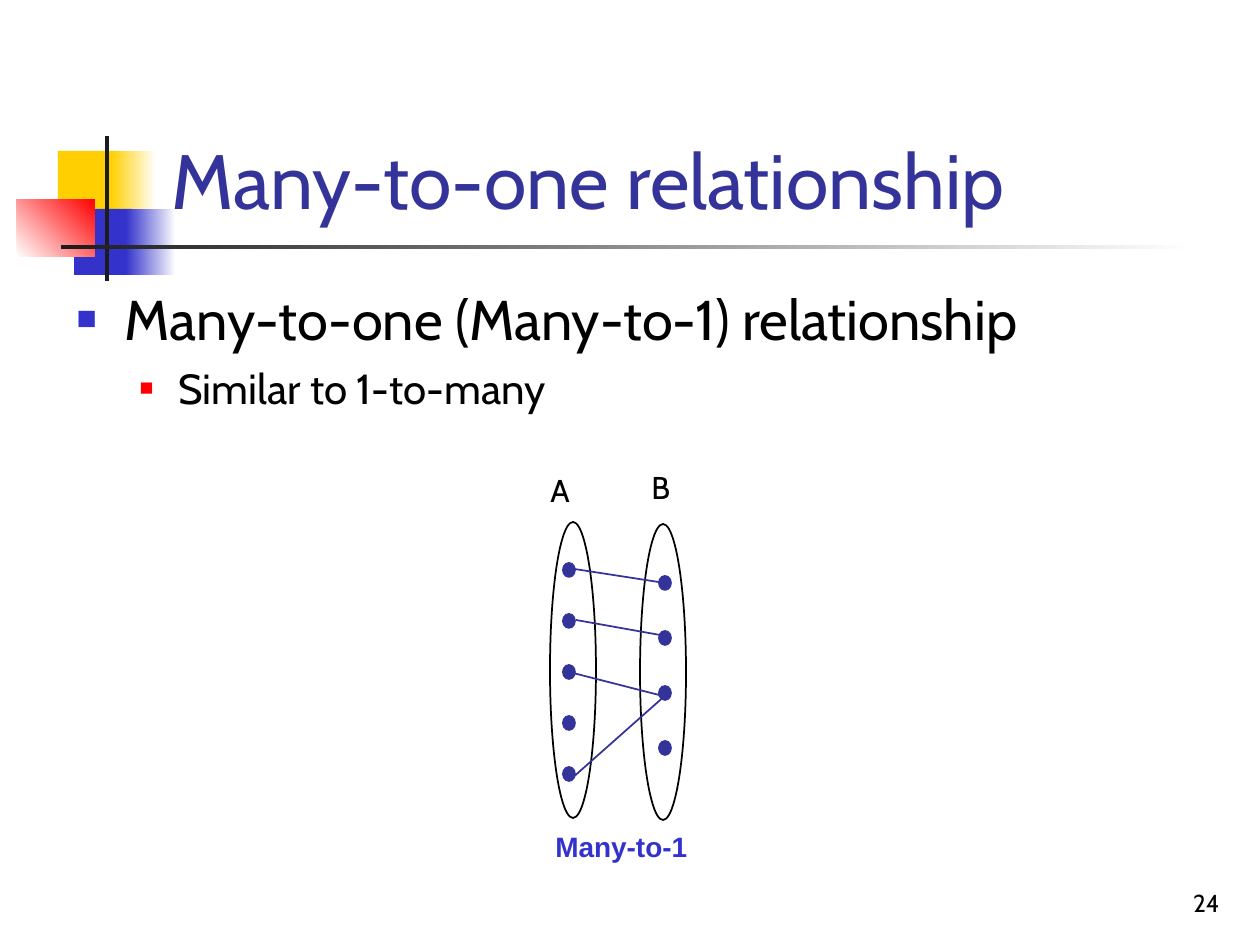
from dataclasses import dataclass

from lxml import etree
from pptx import Presentation
from pptx import util as u
from pptx.dml.color import RGBColor
from pptx.enum import shapes, text
from pptx.oxml.ns import qn


@dataclass(frozen=True)
class Theme:
    font: str = "Cabin"
    caption_font: str = "Arial"
    black: str = "000000"
    white: str = "FFFFFF"
    charcoal: str = "1C1C1C"
    yellow: str = "FFCF01"
    blue: str = "3333CC"
    red: str = "FF0000"
    navy: str = "333399"
    title_size: int = 44
    label_size: int = 18
    caption_size: int = 16
    number_size: int = 14
    line_width: int = 1


THEME = Theme()
SCALE = 914400 / 126
TITLE = "Many-to-one relationship"
TITLE_BOX = (159, 29, 1073, 202)
BODY_BOX = (64, 278, 1169, 567)

BULLETS = [
    {"text": "Many-to-one (Many-to-1) relationship", "level": 0, "size": 32, "before": 0,
     "left": 48, "hang": 48, "color": THEME.blue, "percent": 60},
    {"text": "Similar to 1-to-many", "level": 1, "size": 24, "before": 6,
     "left": 102, "hang": 39, "color": THEME.red, "percent": 55},
]

DECORATIONS = [
    ((58, 151, 60, 66), (THEME.yellow,), 0),
    ((111, 151, 45, 66), (THEME.yellow, THEME.white), 0),
    ((74, 209, 58, 66), (THEME.blue,), 0),
    ((126, 209, 50, 66), (THEME.blue, THEME.white), 0),
    ((17, 199, 78, 58), (THEME.white, THEME.red), 45),
    ((105, 136, 4, 145), (THEME.charcoal,), 0),
    ((61, 245, 1134, 4), (THEME.charcoal, THEME.white), 0),
]

SETS = [
    {"oval": (550, 522, 46, 296), "dot_x": 563, "dot_y": 563, "step": 51, "count": 5},
    {"oval": (640, 524, 46, 296), "dot_x": 659, "dot_y": 576, "step": 55, "count": 4},
]
DOT_SIZE = (12, 14)
LINKS = [
    (568, 568, 665, 583),
    (576, 620, 660, 635),
    (573, 673, 663, 696),
    (570, 780, 667, 694),
]

LABELS = [
    ("A", (538, 465, 45, 50), THEME.label_size),
    ("B", (639, 462, 45, 50), THEME.label_size),
]
CAPTION = ("Many-to-1", (543, 823, 157, 45))
NUMBER = ("24", (970, 861, 262, 63))


def px(value):
    return u.Emu(round(value * SCALE))


def emu(box):
    return [px(value) for value in box]


def rgb(color):
    return RGBColor.from_string(color)


def set_font(paragraph, size, color, name=THEME.font, bold=False):
    for run in paragraph.runs:
        run.font.size = u.Pt(size)
        run.font.name = name
        run.font.bold = bold
        run.font.color.rgb = rgb(color)


def place(shape, box):
    shape.left, shape.top, shape.width, shape.height = emu(box)
    shape.text_frame.auto_size = text.MSO_AUTO_SIZE.NONE
    shape.text_frame.word_wrap = True


def add_shape(slide, kind, box, colors=(), angle=0, line=None):
    shape = slide.shapes.add_shape(kind, *emu(box))
    shape.shadow.inherit = False
    if len(colors) == 2:
        shape.fill.gradient()
        shape.fill.gradient_angle = angle
        for stop, color in zip(shape.fill.gradient_stops, colors):
            stop.color.rgb = rgb(color)
    elif colors:
        shape.fill.solid()
        shape.fill.fore_color.rgb = rgb(colors[0])
    else:
        shape.fill.background()
    if line:
        shape.line.color.rgb = rgb(line)
        shape.line.width = u.Pt(THEME.line_width)
    else:
        shape.line.fill.background()


def add_text(slide, words, box, size, color=THEME.black, name=THEME.font, bold=False):
    shape = slide.shapes.add_textbox(*emu(box))
    shape.text_frame.text = words
    paragraph = shape.text_frame.paragraphs[0]
    set_font(paragraph, size, color, name, bold)
    return shape


def add_link(slide, ends):
    link = slide.shapes.add_connector(shapes.MSO_CONNECTOR.STRAIGHT, *emu(ends))
    link.line.color.rgb = rgb(THEME.navy)
    link.line.width = u.Pt(THEME.line_width)
    etree.SubElement(link.element.spPr, qn("a:effectLst"))


def add_bullet(paragraph, item):
    paragraph.text = item["text"]
    paragraph.level = item["level"]
    properties = paragraph._p.get_or_add_pPr()
    properties.set("marL", str(px(item["left"])))
    properties.set("indent", str(-px(item["hang"])))
    color = etree.SubElement(properties, qn("a:buClr"))
    etree.SubElement(color, qn("a:srgbClr"), val=item["color"])
    etree.SubElement(properties, qn("a:buSzPct"), val=str(item["percent"] * 1000))
    etree.SubElement(properties, qn("a:buFont"), typeface=THEME.caption_font)
    etree.SubElement(properties, qn("a:buChar"), char="■")
    paragraph.space_before = u.Pt(item["before"])
    set_font(paragraph, item["size"], THEME.black)


def fill_placeholders(slide):
    title, body = slide.placeholders
    place(title, TITLE_BOX)
    title.text_frame.text = TITLE
    title.text_frame.vertical_anchor = text.MSO_ANCHOR.BOTTOM
    paragraph = title.text_frame.paragraphs[0]
    paragraph.alignment = text.PP_ALIGN.LEFT
    set_font(paragraph, THEME.title_size, THEME.navy)

    place(body, BODY_BOX)
    frame = body.text_frame
    for index, item in enumerate(BULLETS):
        add_bullet(frame.add_paragraph() if index else frame.paragraphs[0], item)


def draw_mapping(slide):
    oval = shapes.MSO_SHAPE.OVAL
    for group in SETS:
        add_shape(slide, oval, group["oval"], line=THEME.black)
    for ends in LINKS:
        add_link(slide, ends)
    for group in SETS:
        for index in range(group["count"]):
            box = (group["dot_x"], group["dot_y"] + index * group["step"], *DOT_SIZE)
            add_shape(slide, oval, box, (THEME.navy,), line=THEME.navy)
    for label in LABELS:
        add_text(slide, *label)
    add_text(slide, *CAPTION, THEME.caption_size, THEME.blue, THEME.caption_font, True)


def main():
    presentation = Presentation()
    presentation.slide_width, presentation.slide_height = px(1260), px(945)
    slide = presentation.slides.add_slide(presentation.slide_layouts[1])
    for box, colors, angle in DECORATIONS:
        add_shape(slide, shapes.MSO_SHAPE.RECTANGLE, box, colors, angle)
    fill_placeholders(slide)
    draw_mapping(slide)
    number = add_text(slide, *NUMBER, THEME.number_size)
    number.text_frame.word_wrap = True
    number.text_frame.vertical_anchor = text.MSO_ANCHOR.BOTTOM
    number.text_frame.paragraphs[0].alignment = text.PP_ALIGN.RIGHT
    presentation.save("out.pptx")


if __name__ == "__main__":
    main()
